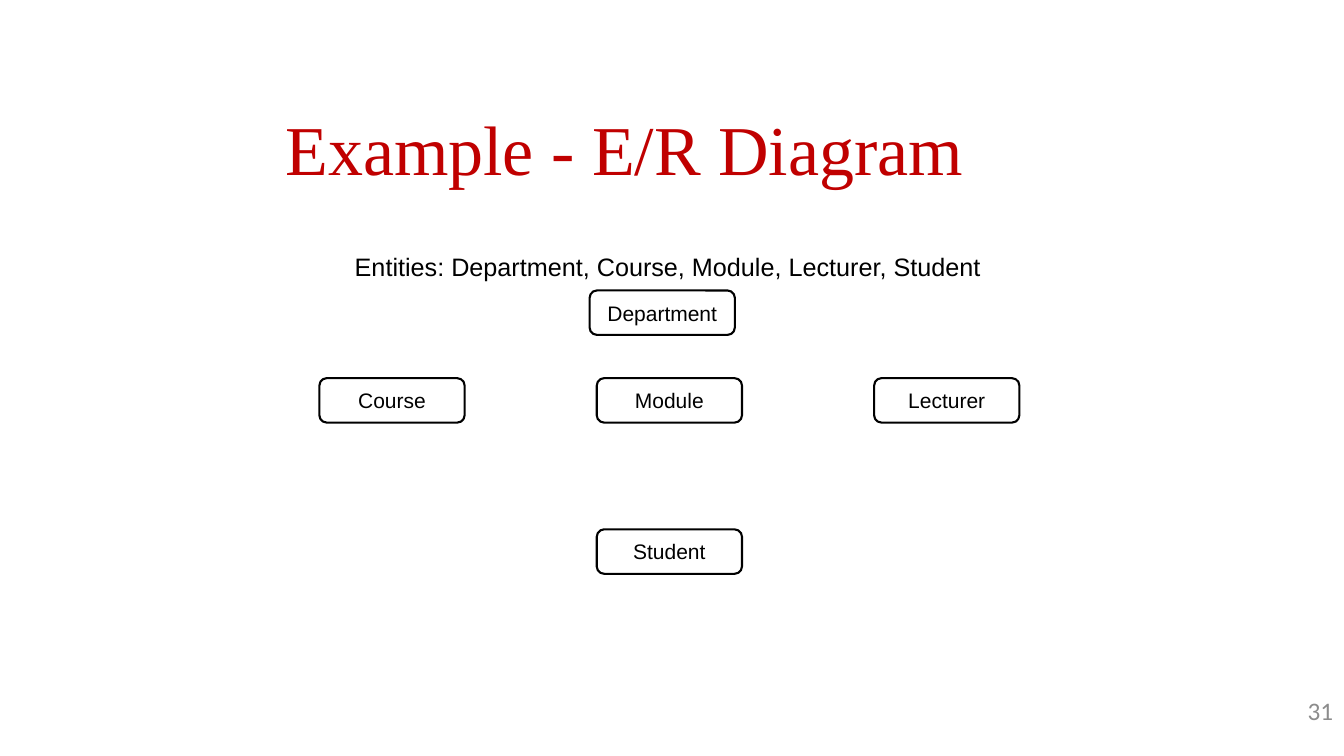
from dataclasses import dataclass

from pptx import Presentation
from pptx.dml.color import RGBColor
from pptx.enum.shapes import MSO_SHAPE as Preset
from pptx.enum.text import MSO_ANCHOR as Anchor, MSO_AUTO_SIZE as Fit, PP_ALIGN as Align
from pptx.shapes.autoshape import Shape
from pptx.slide import Slide
from pptx.util import Cm, Pt

RED = RGBColor(0xC0, 0x00, 0x00)
GRAY = RGBColor(0x8C, 0x8C, 0x8C)
BLACK = RGBColor(0x00, 0x00, 0x00)

# Entity grid, in centimetres
LEFT, STEP = 8.05, 6.99
MIDDLE = LEFT + STEP
TOP, ROW, BOTTOM = 7.32, 9.53, 13.34
WIDTH, HEIGHT = 3.66, 1.12


@dataclass
class Style:
    font: str
    size: float
    color: RGBColor
    align: Align = Align.LEFT


@dataclass
class Entity:
    name: str
    left: float
    top: float


HEADING = Style("Times New Roman", 50, RED)
NUMBER = Style("Calibri", 18, GRAY, Align.RIGHT)
LISTING = Style("Arial", 18, BLACK)
LABEL = Style("Arial", 15, BLACK, Align.CENTER)

ENTITIES = [
    Entity("Module", MIDDLE, ROW),
    Entity("Course", LEFT, ROW),
    Entity("Department", MIDDLE - 0.18, TOP),
    Entity("Student", MIDDLE, BOTTOM),
    Entity("Lecturer", LEFT + 2 * STEP, ROW),
]


def write(shape: Shape, text: str, style: Style, anchor: Anchor = Anchor.TOP,
          wrap: bool = True) -> None:
    """Put one styled paragraph into a shape."""
    frame = shape.text_frame
    frame.text = text
    frame.auto_size = Fit.NONE
    frame.word_wrap = wrap
    frame.vertical_anchor = anchor
    line = frame.paragraphs[0]
    line.alignment = style.align
    line.font.name = style.font
    line.font.size = Pt(style.size)
    line.font.color.rgb = style.color


def trim(shape: Shape, top: float = 0) -> None:
    """Remove the text margins, except for a given one at the top."""
    frame = shape.text_frame
    frame.margin_left = frame.margin_right = frame.margin_bottom = Cm(0)
    frame.margin_top = Cm(top)


def draw(slide: Slide, entity: Entity) -> None:
    """Draw an entity as a rounded box."""
    box = slide.shapes.add_shape(Preset.ROUNDED_RECTANGLE, Cm(entity.left),
                                 Cm(entity.top), Cm(WIDTH), Cm(HEIGHT))
    box.shadow.inherit = False
    box.fill.background()
    box.line.color.rgb = BLACK
    box.line.width = Pt(1.5)
    write(box, entity.name, LABEL, Anchor.MIDDLE, wrap=False)


def main() -> None:
    deck = Presentation()
    deck.slide_width, deck.slide_height = Cm(33.87), Cm(19.05)
    slide = deck.slides.add_slide(deck.slide_layouts[5])

    # Title
    title = slide.shapes.title
    title.left, title.top = Cm(7.19), Cm(2.46)
    title.width, title.height = Cm(20.96), Cm(4.27)
    write(title, "Example - E/R Diagram", HEADING)
    trim(title, top=0.2)

    # Page number
    page = slide.shapes.add_textbox(Cm(31.9), Cm(17.53), Cm(1.7), Cm(1.32))
    write(page, "31", NUMBER)
    trim(page)

    # Entity boxes
    for entity in ENTITIES:
        draw(slide, entity)

    # List of entities
    names = slide.shapes.add_textbox(Cm(8.69), Cm(6.2), Cm(16.51), Cm(1.02))
    write(names, "Entities: Department, Course, Module, Lecturer, Student", LISTING)

    deck.save("out.pptx")


if __name__ == "__main__":
    main()
